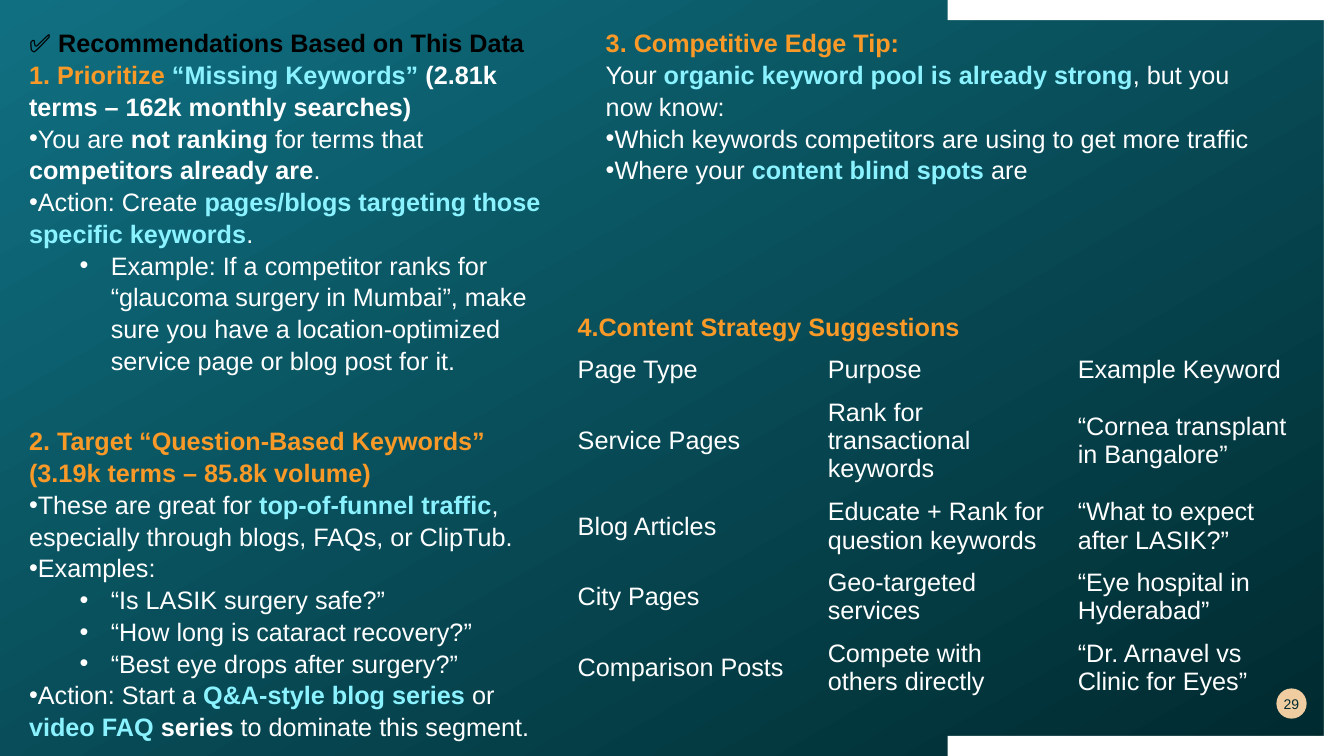
from dataclasses import dataclass

from pptx import Presentation
from pptx.dml.color import RGBColor
from pptx.enum.shapes import MSO_SHAPE
from pptx.enum.text import MSO_ANCHOR, MSO_AUTO_SIZE, PP_ALIGN
from pptx.oxml import parse_xml
from pptx.oxml.ns import nsdecls, qn
from pptx.shapes.autoshape import Shape
from pptx.slide import Slide
from pptx.util import Inches, Pt

WHITE, BLACK, ORANGE, CYAN = "FFFFFF", "000000", "F99927", "8BF2FF"
DARK_TEAL, TEAL, PEACH = "00292E", "107082", "F0CDA1"
WIDTH, HEIGHT = 13.33, 7.5
NO_STYLE_NO_GRID = "{2D5ABB26-0587-4C30-8999-92F81FD0307C}"


@dataclass(frozen=True)
class Piece:
    text: str
    color: str = WHITE
    bold: bool = False
    size: int = 18


@dataclass(frozen=True)
class Line:
    pieces: tuple[Piece, ...]
    bullet: bool = False
    level: int = 0


@dataclass(frozen=True)
class Section:
    left: float
    top: float
    width: float
    height: float
    lines: tuple[Line, ...]


def rgb(color: str) -> RGBColor:
    return RGBColor.from_string(color)


def strong(text: str, color: str = WHITE) -> Piece:
    return Piece(text, color, True)


def title(*pieces: Piece) -> Line:
    return Line(pieces)


def point(*pieces: Piece) -> Line:
    return Line(pieces, bullet=True)


def example(text: str) -> Line:
    return Line((Piece(text),), bullet=True, level=1)


def add_piece(paragraph, piece: Piece) -> None:
    run = paragraph.add_run()
    run.text = piece.text
    run.font.name = "Arial"
    run.font.size = Pt(piece.size)
    run.font.bold = piece.bold
    run.font.color.rgb = rgb(piece.color)


def add_bullet(paragraph, level: int) -> None:
    properties = paragraph._p.get_or_add_pPr()
    properties.set("marL", str(Inches(0.81 * level)))
    properties.set("indent", str(Inches(-0.31 * level)))
    properties.append(parse_xml(f'<a:buFont {nsdecls("a")} typeface="Arial"/>'))
    properties.append(parse_xml(f'<a:buChar {nsdecls("a")} char="•"/>'))


def add_section(slide: Slide, section: Section) -> None:
    bounds = (section.left, section.top, section.width, section.height)
    frame = slide.shapes.add_textbox(*map(Inches, bounds)).text_frame
    frame.word_wrap = True
    frame.auto_size = MSO_AUTO_SIZE.SHAPE_TO_FIT_TEXT
    for index, line in enumerate(section.lines):
        paragraph = frame.add_paragraph() if index else frame.paragraphs[0]
        if line.bullet:
            add_bullet(paragraph, line.level)
        paragraph.level = line.level
        paragraph.line_spacing = 1.05
        for piece in line.pieces:
            add_piece(paragraph, piece)


def paint(shape: Shape, color: str) -> None:
    shape.shadow.inherit = False
    shape.fill.solid()
    shape.fill.fore_color.rgb = rgb(color)
    shape.line.fill.background()


def add_backdrop(slide: Slide) -> None:
    backdrop = slide.shapes.add_shape(
        MSO_SHAPE.RECTANGLE, 0, 0, Inches(WIDTH), Inches(HEIGHT))
    paint(backdrop, TEAL)
    backdrop.fill.gradient()
    backdrop.fill.gradient_angle = 120
    for stop, color, position in zip(backdrop.fill.gradient_stops, (DARK_TEAL, TEAL), (0, 1)):
        stop.color.rgb = rgb(color)
        stop.position = position


def add_bracket(slide: Slide) -> None:
    left, thickness = 9.4, 0.2
    inner, bottom = WIDTH - thickness, HEIGHT - thickness
    corners = [(WIDTH, 0), (WIDTH, HEIGHT), (left, HEIGHT), (left, bottom),
               (inner, bottom), (inner, thickness), (left, thickness)]
    builder = slide.shapes.build_freeform(Inches(left), 0)
    builder.add_line_segments([(Inches(x), Inches(y)) for x, y in corners])
    paint(builder.convert_to_shape(), WHITE)


def add_page_number(slide: Slide) -> None:
    badge = slide.shapes.add_shape(
        MSO_SHAPE.OVAL, Inches(12.66), Inches(6.83), Inches(0.3), Inches(0.3))
    paint(badge, PEACH)
    frame = badge.text_frame
    frame.margin_left = frame.margin_right = frame.margin_top = frame.margin_bottom = 0
    frame.vertical_anchor = MSO_ANCHOR.MIDDLE
    frame.paragraphs[0].alignment = PP_ALIGN.CENTER
    add_piece(frame.paragraphs[0], Piece("29", DARK_TEAL, size=10))


def add_strategy_table(slide: Slide) -> None:
    table = slide.shapes.add_table(
        len(STRATEGY), len(STRATEGY[0]),
        Inches(5.63), Inches(3.47), Inches(7.43), Inches(3.5)).table
    table.first_row = table.horz_banding = False
    table._tbl.tblPr.find(qn("a:tableStyleId")).text = NO_STYLE_NO_GRID
    for column in table.columns:
        column.width = Inches(2.48)
    for row, height, texts in zip(table.rows, ROW_HEIGHTS, STRATEGY):
        row.height = Inches(height)
        for cell, text in zip(row.cells, texts):
            cell.fill.background()
            cell.vertical_anchor = MSO_ANCHOR.MIDDLE
            add_piece(cell.text_frame.paragraphs[0], Piece(text))


SECTIONS = (
    Section(0.19, 0.21, 5.28, 3.43, (
        title(strong("✅ Recommendations Based on This Data", BLACK)),
        title(strong("1. Prioritize ", ORANGE), strong("“Missing Keywords” ", CYAN),
              strong("(2.81k terms – 162k monthly searches)")),
        point(Piece("You are "), strong("not ranking"), Piece(" for terms that "),
              strong("competitors already are"), Piece(".")),
        point(Piece("Action: Create "),
              strong("pages/blogs targeting those specific keywords", CYAN), Piece(".")),
        example("Example: If a competitor ranks for “glaucoma surgery in Mumbai”, make sure "
                "you have a location-optimized service page or blog post for it."),
    )),
    Section(0.19, 4.16, 5.28, 3.13, (
        title(strong("2. Target “Question-Based Keywords” (3.19k terms – 85.8k volume)", ORANGE)),
        point(Piece("These are great for "), strong("top-of-funnel traffic", CYAN),
              Piece(", especially through blogs, FAQs, or ClipTub.")),
        point(Piece("Examples:")),
        example("“Is LASIK surgery safe?”"),
        example("“How long is cataract recovery?”"),
        example("“Best eye drops after surgery?”"),
        point(Piece("Action: Start a "), strong("Q&A-style blog series", CYAN), Piece(" or "),
              strong("video FAQ ", CYAN), strong("series"), Piece(" to dominate this segment.")),
    )),
    Section(5.91, 0.21, 6.67, 1.62, (
        title(strong("3. Competitive Edge Tip:", ORANGE)),
        title(Piece("Your "), strong("organic keyword pool is already strong", CYAN),
              Piece(", but you now know:")),
        point(Piece("Which keywords competitors are using to get more traffic")),
        point(Piece("Where your "), strong("content blind spots ", CYAN), Piece("are")),
    )),
    Section(5.63, 3.02, 6.67, 1.14, (
        title(strong("4.Content Strategy Suggestions", ORANGE)),
    )),
)

ROW_HEIGHTS = (0.4, 1, 0.7, 0.7, 0.7)
STRATEGY = (
    ("Page Type", "Purpose", "Example Keyword"),
    ("Service Pages", "Rank for transactional keywords", "“Cornea transplant in Bangalore”"),
    ("Blog Articles", "Educate + Rank for question keywords", "“What to expect after LASIK?”"),
    ("City Pages", "Geo-targeted services", "“Eye hospital in Hyderabad”"),
    ("Comparison Posts", "Compete with others directly", "“Dr. Arnavel vs Clinic for Eyes”"),
)


def main() -> None:
    presentation = Presentation()
    presentation.slide_width = Inches(WIDTH)
    presentation.slide_height = Inches(HEIGHT)
    slide = presentation.slides.add_slide(presentation.slide_layouts[6])
    add_backdrop(slide)
    add_bracket(slide)
    add_page_number(slide)
    *body, strategy_heading = SECTIONS
    for section in body:
        add_section(slide, section)
    add_strategy_table(slide)
    add_section(slide, strategy_heading)
    presentation.save("out.pptx")


if __name__ == "__main__":
    main()
